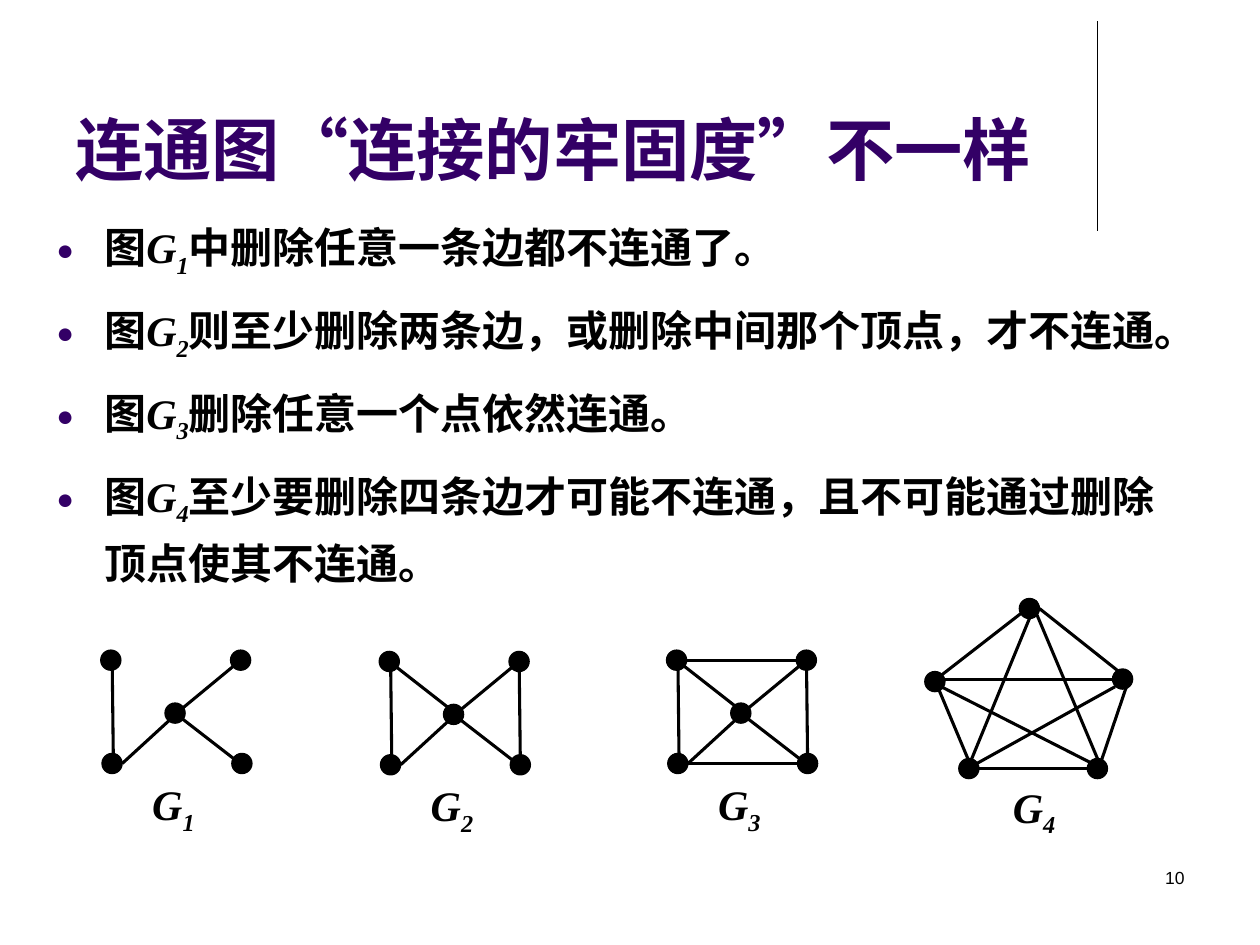
"""Build a slide comparing how firmly four connected graphs hold together."""
from lxml.etree import SubElement
from pptx import Presentation
from pptx.dml.color import RGBColor
from pptx.enum.shapes import MSO_CONNECTOR as Link, MSO_SHAPE as Shape
from pptx.enum.text import MSO_ANCHOR as Anchor, PP_ALIGN as Align
from pptx.oxml.ns import qn
from pptx.util import Inches, Pt

BLACK = RGBColor(0, 0, 0)
PURPLE = RGBColor(0x33, 0x00, 0x66)
SERIF = "Times New Roman"
DOT = 0.16

deck = Presentation()
deck.slide_width, deck.slide_height = Inches(10), Inches(7.5)
slide = deck.slides.add_slide(deck.slide_layouts[6])
shapes = slide.shapes


def add_line(x1, y1, x2, y2, width=1.75):
    line = shapes.add_connector(
        Link.STRAIGHT, Inches(x1), Inches(y1), Inches(x2), Inches(y2))
    line.line.color.rgb = BLACK
    line.line.width = Pt(width)
    SubElement(line._element.spPr, qn("a:effectLst"))


def add_run(para, text, size=24, face=SERIF, color=BLACK, bold=True,
            italic=False, sub=False):
    run = para.add_run()
    run.text = text
    font = run.font
    font.size, font.name, font.bold, font.italic = Pt(size), face, bold, italic
    font.color.rgb = color
    if sub:
        font._element.set("baseline", "-25000")


add_line(8.71, 0.17, 8.71, 1.83, 0.75)

title = shapes.add_textbox(Inches(0.5), Inches(0.13), Inches(8.25), Inches(1.42))
frame = title.text_frame
frame.word_wrap = True
frame.vertical_anchor = Anchor.BOTTOM
add_run(frame.paragraphs[0], "连通图“连接的牢固度”不一样", 39, "Arial", PURPLE)

facts = [
    "中删除任意一条边都不连通了。",
    "则至少删除两条边，或删除中间那个顶点，才不连通。",
    "删除任意一个点依然连通。",
    "至少要删除四条边才可能不连通，且不可能通过删除顶点使其不连通。",
]
body = shapes.add_textbox(Inches(0.35), Inches(1.62), Inches(9), Inches(2.76))
frame = body.text_frame
frame.word_wrap = True
for num, fact in enumerate(facts, 1):
    para = frame.paragraphs[0] if num == 1 else frame.add_paragraph()
    para.line_spacing = 1.2
    para.space_before = Pt(8)
    props = para._p.get_or_add_pPr()
    props.set("marL", str(Inches(0.38)))
    props.set("indent", str(-Inches(0.38)))
    tint = SubElement(props, qn("a:buClr"))
    SubElement(tint, qn("a:srgbClr")).set("val", str(PURPLE))
    SubElement(props, qn("a:buSzPct")).set("val", "70000")
    SubElement(props, qn("a:buFont")).set("typeface", "Arial")
    SubElement(props, qn("a:buChar")).set("char", "●")
    add_run(para, "图")
    add_run(para, "G", italic=True)
    add_run(para, str(num), italic=True, sub=True)
    add_run(para, fact)

page = shapes.add_textbox(Inches(7.17), Inches(6.83), Inches(2.33), Inches(0.5))
page.text_frame.word_wrap = True
para = page.text_frame.paragraphs[0]
para.alignment = Align.RIGHT
add_run(para, "10", 10, "Arial", bold=False)

square = [(0, 0), (1.03, 0), (0.01, 0.82), (1.04, 0.82), (0.51, 0.42)]
penta = [(0.75, 0), (0, 0.58), (1.49, 0.56), (0.27, 1.27), (1.29, 1.27)]
tree = [
    (0.1, 0.91, 0.09, 0.04),
    (0.55, 0.47, 1.17, 0.95),
    (0.17, 0.9, 0.65, 0.46),
    (1.11, 0.08, 0.65, 0.46),
]
bow = tree + [(1.12, 0.9, 1.11, 0.03), (0.08, 0.08, 0.54, 0.44)]
wheel = bow + [(0.16, 0.08, 1.03, 0.08), (0.17, 0.9, 1.04, 0.9)]
full = [
    (0.34, 1.35, 1.51, 0.7),
    (0.42, 1.35, 1.29, 1.35),
    (0.13, 0.61, 0.89, 0.02),
    (0.91, 0.08, 1.54, 0.58),
    (1.38, 1.35, 1.6, 0.7),
    (0.11, 0.72, 0.4, 1.41),
    (0.14, 0.64, 1.65, 0.64),
    (0.34, 1.35, 0.83, 0.16),
    (0.89, 0.13, 1.37, 1.27),
    (0.13, 0.7, 1.31, 1.3),
]
graphs = [
    (0.8, 5.16, square, tree, 0.31, 0.97),
    (3.01, 5.17, square, bow, 0.31, 0.97),
    (5.29, 5.16, square, wheel, 0.31, 0.97),
    (7.34, 4.75, penta, full, 0.6, 1.4),
]
for num, (left, top, dots, edges, dx, dy) in enumerate(graphs, 1):
    for x1, y1, x2, y2 in edges:
        add_line(left + x1, top + y1, left + x2, top + y2)
    for x, y in dots:
        dot = shapes.add_shape(
            Shape.FLOWCHART_CONNECTOR, Inches(left + x), Inches(top + y),
            Inches(DOT), Inches(DOT))
        dot.shadow.inherit = False
        dot.fill.solid()
        dot.fill.fore_color.rgb = BLACK
        dot.line.color.rgb = BLACK
        dot.line.width = Pt(0.75)
    label = shapes.add_textbox(
        Inches(left + dx), Inches(top + dy), Inches(0.79), Inches(0.55))
    label.text_frame.word_wrap = True
    para = label.text_frame.paragraphs[0]
    add_run(para, "G", italic=True)
    add_run(para, str(num), italic=True, sub=True)

deck.save("out.pptx")
